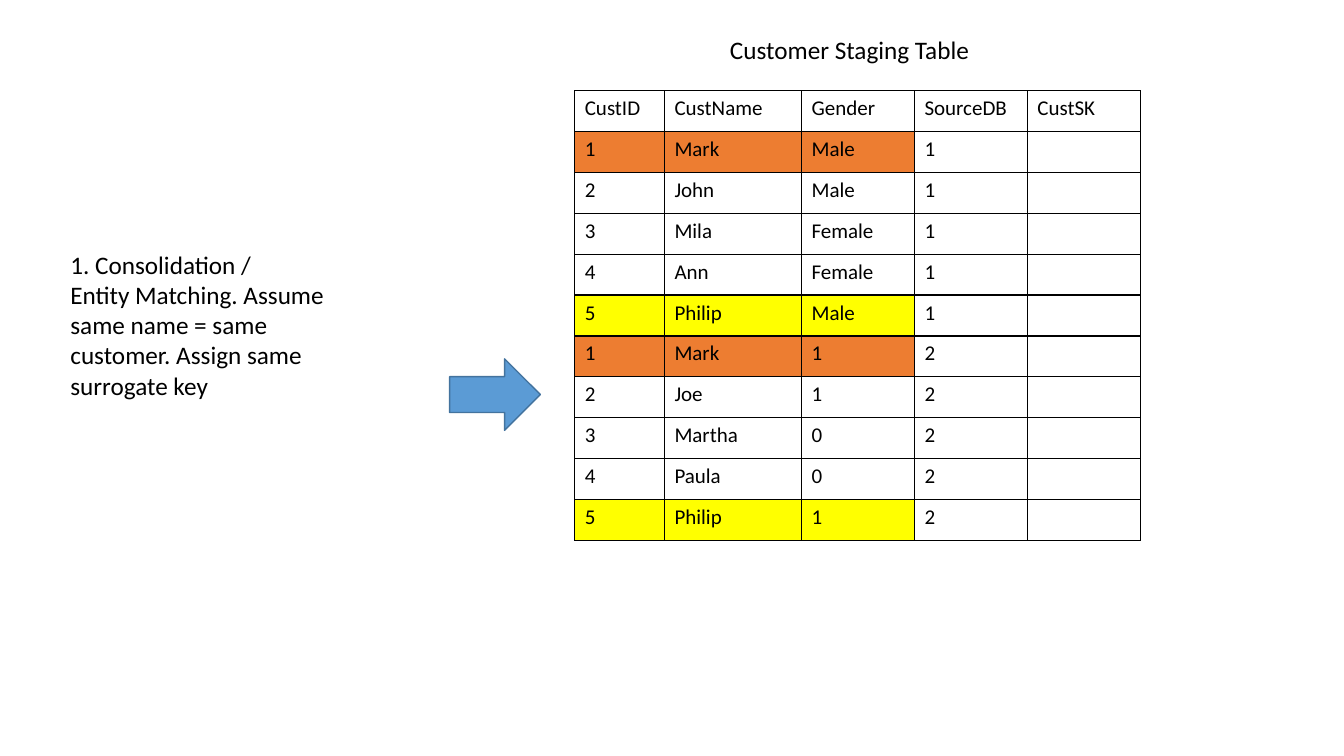
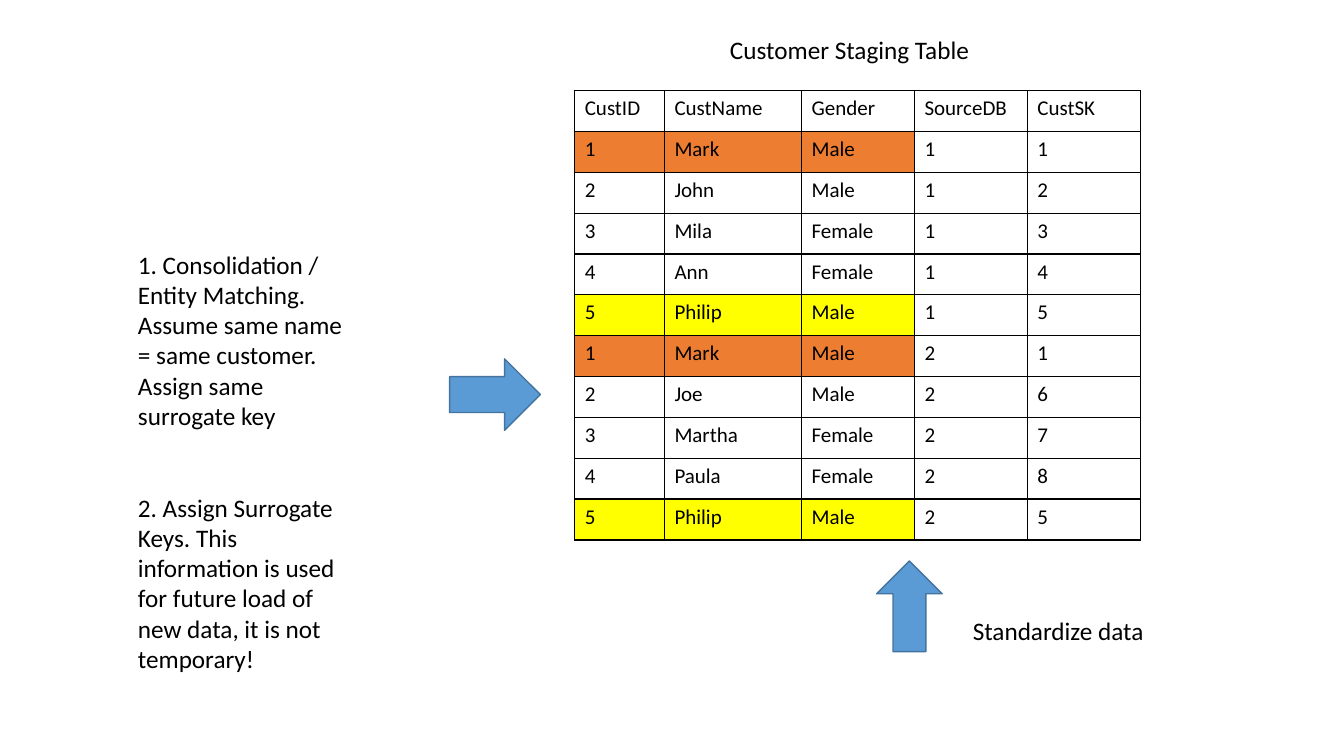
from lxml import etree
from pptx import Presentation
from pptx.dml.color import RGBColor
from pptx.enum import shapes, text
from pptx.oxml import ns
from pptx.util import Inches, Pt

COLOURS = {
    "ink": "000000", "paper": "FFFFFF", "arrow": "5B9BD5",
    "arrow_line": "43739E", "Mark": "ED7D31", "Philip": "FFFF00",
}
FONT = "Calibri"
COLUMN_WIDTHS = [0.89, 1.36, 1.12, 1.12, 1.12]
HEADER = ["CustID", "CustName", "Gender", "SourceDB", "CustSK"]
CUSTOMERS = [
    ["Mark", "John", "Mila", "Ann", "Philip"],
    ["Mark", "Joe", "Martha", "Paula", "Philip"],
]
GENDERS = ["Male", "Male", "Female", "Female", "Male"]
GENDER_CODES = ["1", "1", "0", "0", "1"]
MATCHING = [
    "1. Consolidation /",
    "Entity Matching. Assume same name = same customer. Assign same surrogate key",
]
ASSIGNING = ("2. Assign Surrogate Keys. This information is used for future "
             "load of new data, it is not temporary!")
RIGHT_ARROW = (4.46, 3.56, 0.9, 0.71, 0)
UP_ARROW = (8.57, 5.69, 0.9, 0.65, 270)

# What differs between the slides; text boxes are (left, top, width, height, lines)
SLIDES = [
    {
        "second_genders": GENDER_CODES,
        "keys": [""] * 10,
        "texts": [(0.6, 2.42, 2.9, 1.62, MATCHING)],
        "arrows": [RIGHT_ARROW],
    },
    {
        "second_genders": GENDERS,
        "keys": list("1234516785"),
        "texts": [(1.27, 2.42, 2.23, 4.34, MATCHING + [ASSIGNING]),
                  (9.55, 6.06, 2.23, 0.4, ["Standardize data"])],
        "arrows": [RIGHT_ARROW, UP_ARROW],
    },
]


def style_text(frame, size):
    for para in frame.paragraphs:
        para.alignment = text.PP_ALIGN.LEFT
        for span in para.runs:
            span.font.name = FONT
            span.font.size = Pt(size)
            span.font.color.rgb = RGBColor.from_string(COLOURS["ink"])


def add_borders(cell):
    properties = cell._tc.get_or_add_tcPr()
    for position, side in enumerate(("lnL", "lnR", "lnT", "lnB")):
        line = etree.Element(ns.qn("a:" + side), w=str(Pt(1)))
        fill = etree.SubElement(line, ns.qn("a:solidFill"))
        etree.SubElement(fill, ns.qn("a:srgbClr"), val=COLOURS["ink"])
        properties.insert(position, line)


deck = Presentation()
deck.slide_width, deck.slide_height = Inches(13.33), Inches(7.5)

for content in SLIDES:
    page = deck.slides.add_slide(deck.slide_layouts.get_by_name("Title Only"))

    # Table title
    title = page.shapes.title
    title.left, title.top = Inches(7.14), Inches(0.29)
    title.width, title.height = Inches(3.12), Inches(0.4)
    title.text_frame.text = "Customer Staging Table"
    title.text_frame.auto_size = text.MSO_AUTO_SIZE.NONE
    title.text_frame.vertical_anchor = text.MSO_ANCHOR.TOP
    style_text(title.text_frame, 18)

    # Staging rows from both source databases
    rows = [HEADER]
    genders = [GENDERS, content["second_genders"]]
    for source, names in enumerate(CUSTOMERS):
        for number, name in enumerate(names):
            key = content["keys"][source * len(names) + number]
            rows.append([str(number + 1), name, genders[source][number],
                         str(source + 1), key])

    # Table: matched customers are highlighted up to the gender column
    table = page.shapes.add_table(
        len(rows), len(HEADER), Inches(5.7), Inches(0.9),
        Inches(sum(COLUMN_WIDTHS)), Inches(4.46)).table
    table.first_row = table.horz_banding = False
    for column, width in zip(table.columns, COLUMN_WIDTHS):
        column.width = Inches(width)
    for row_index, row in enumerate(rows):
        highlight = COLOURS.get(row[1], COLOURS["paper"])
        for column_index, value in enumerate(row):
            cell = table.cell(row_index, column_index)
            cell.text_frame.text = value
            style_text(cell.text_frame, 15)
            cell.fill.solid()
            cell.fill.fore_color.rgb = RGBColor.from_string(
                highlight if column_index < 3 else COLOURS["paper"])
            add_borders(cell)

    # Arrows
    for left, top, width, height, rotation in content["arrows"]:
        arrow = page.shapes.add_shape(
            shapes.MSO_SHAPE.RIGHT_ARROW, Inches(left), Inches(top),
            Inches(width), Inches(height))
        arrow.rotation = rotation
        arrow.shadow.inherit = False
        arrow.fill.solid()
        arrow.fill.fore_color.rgb = RGBColor.from_string(COLOURS["arrow"])
        arrow.line.color.rgb = RGBColor.from_string(COLOURS["arrow_line"])
        arrow.line.width = Pt(1)

    # Explanations
    for left, top, width, height, lines in content["texts"]:
        box = page.shapes.add_textbox(
            Inches(left), Inches(top), Inches(width), Inches(height))
        box.text_frame.word_wrap = True
        box.text_frame.text = "\n".join(lines)
        style_text(box.text_frame, 18)
        for para in box.text_frame.paragraphs[2:]:
            para.space_before = Pt(44)

deck.save("out.pptx")
